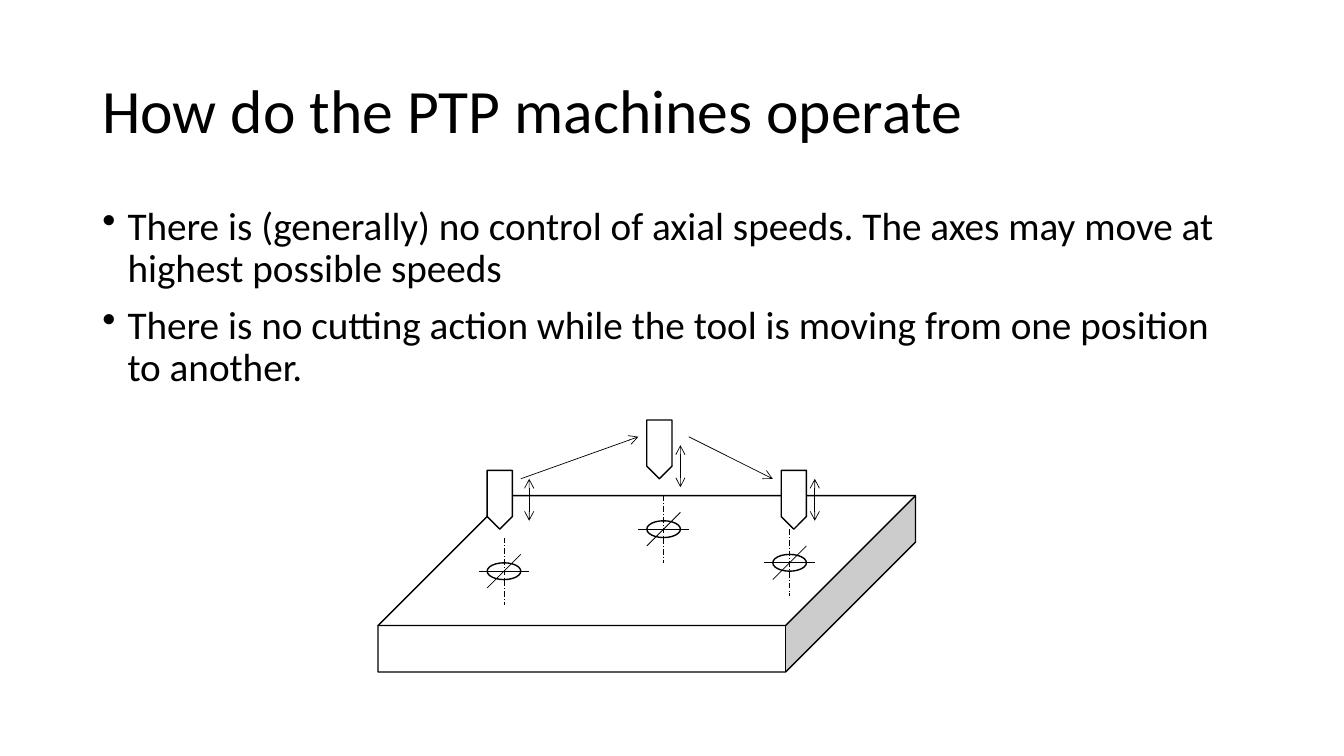
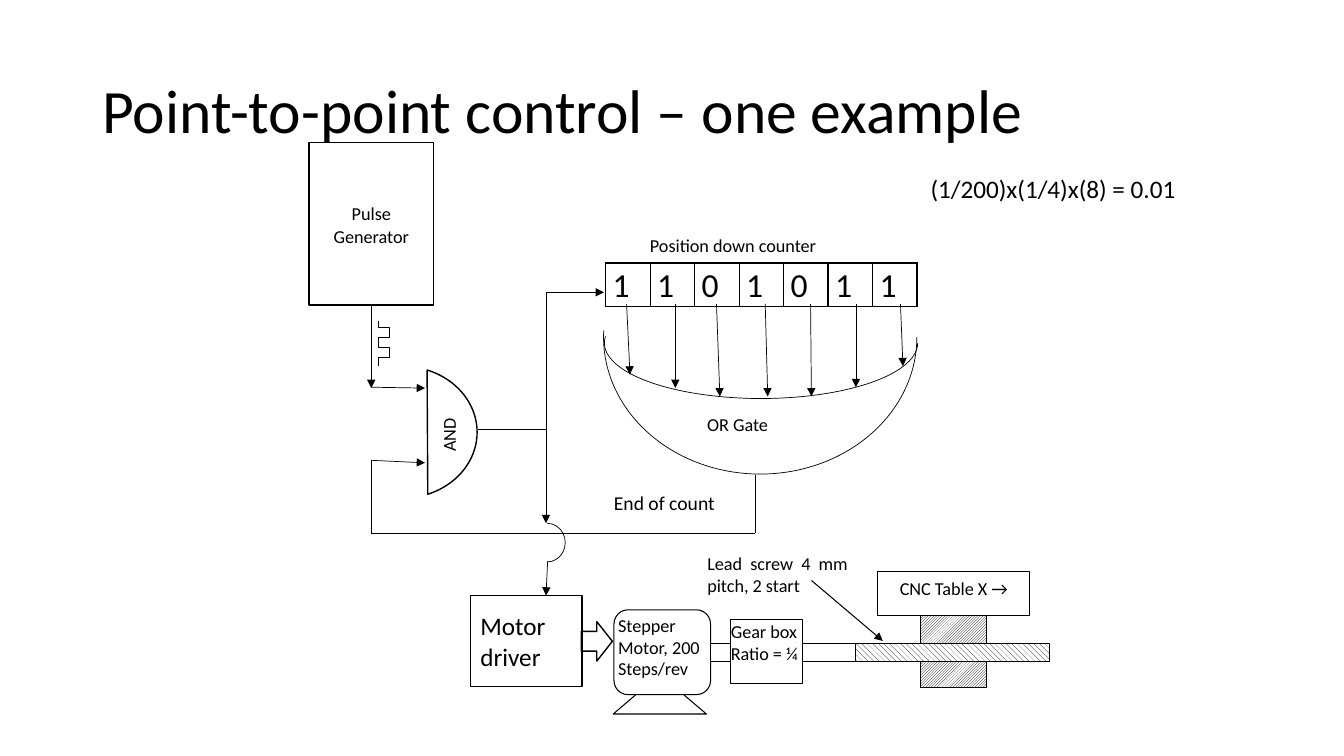
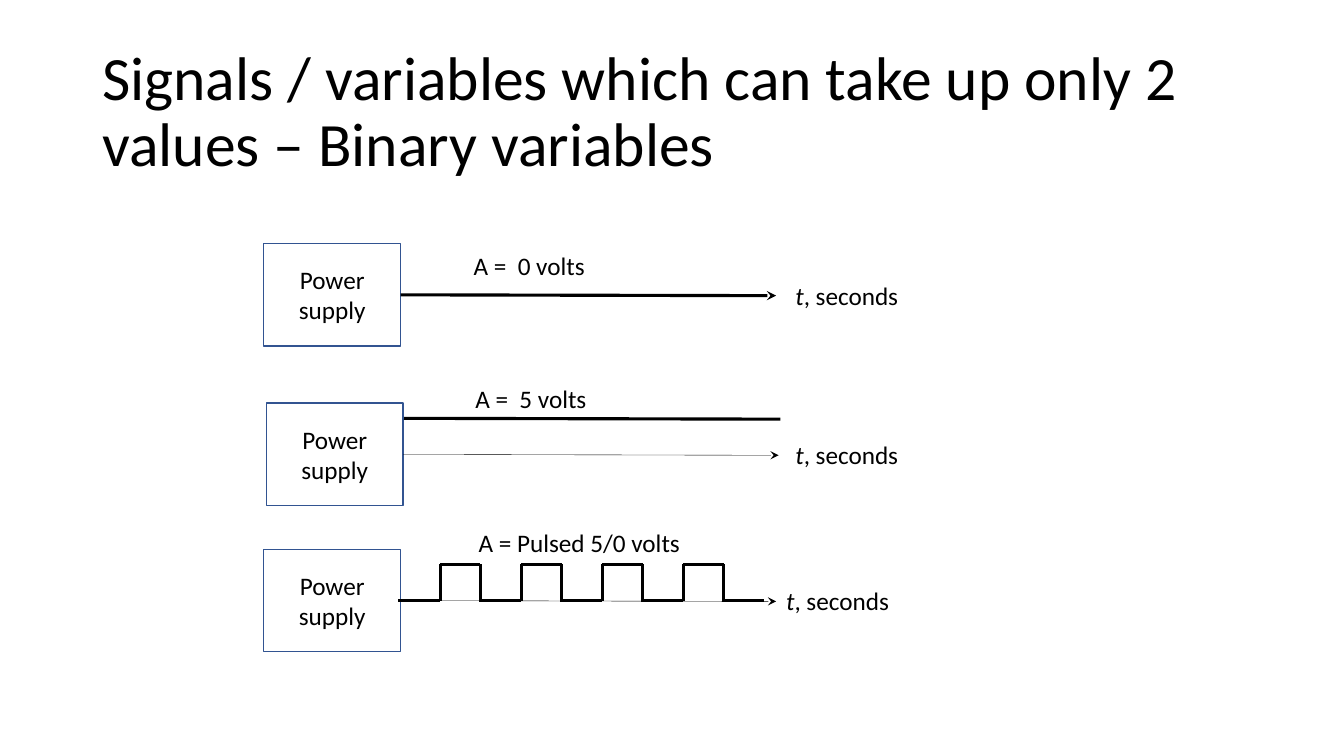
"""Build three slides on point-to-point machine control and binary signals."""
from lxml import etree
from pptx import Presentation
from pptx import util as u
from pptx.dml.color import RGBColor
from pptx.enum import dml, shapes, text
from pptx.oxml import ns

BLACK = RGBColor(0x00, 0x00, 0x00)
WHITE = RGBColor(0xFF, 0xFF, 0xFF)
BLUE = RGBColor(0x32, 0x54, 0x91)
FONT = "Calibri"
COLUMNS, ROWS = 160, 90
KIND = shapes.MSO_SHAPE
ALIGN = text.PP_ALIGN
ANCHOR = text.MSO_ANCHOR
PATTERN = dml.MSO_PATTERN
LABEL = {"spacing": 1.07, "after": 8}
TIGHT = {"insets": (0, 0, 0, 0)}


class Deck:
    """Hold the shared style and the current slide, on a grid of 160 by 90 cells."""

    def __init__(self):
        self.presentation = Presentation()
        self.presentation.slide_width = u.Inches(13.333)
        self.presentation.slide_height = u.Inches(7.5)
        self.slide = None

    def new_slide(self):
        self.slide = self.presentation.slides.add_slide(self.presentation.slide_layouts[6])
        self.slide.background.fill.solid()
        self.slide.background.fill.fore_color.rgb = WHITE

    def x(self, columns):
        return round(self.presentation.slide_width * columns / COLUMNS)

    def y(self, rows):
        return round(self.presentation.slide_height * rows / ROWS)

    def box(self, left, top, width, height):
        return self.x(left), self.y(top), self.x(width), self.y(height)

    def set_text(self, frame, paragraphs, size, align=ALIGN.LEFT, anchor=ANCHOR.TOP,
                 spacing=None, before=0, after=0, insets=(0.1, 0.05, 0.1, 0.05), bullet=None):
        frame.word_wrap = True
        frame.vertical_anchor = anchor
        (frame.margin_left, frame.margin_top,
         frame.margin_right, frame.margin_bottom) = map(u.Inches, insets)
        for index, content in enumerate(paragraphs):
            paragraph = frame.add_paragraph() if index else frame.paragraphs[0]
            paragraph.alignment = align
            paragraph.line_spacing = spacing
            paragraph.space_before = u.Pt(before)
            paragraph.space_after = u.Pt(after)
            if bullet:
                properties = paragraph._p.get_or_add_pPr()
                properties.set("marL", str(u.Inches(0.25)))
                properties.set("indent", str(-u.Inches(0.25)))
                etree.SubElement(properties, ns.qn("a:buChar")).set("char", bullet)
            runs = [(content, False)] if isinstance(content, str) else content
            for words, italic in runs:
                run = paragraph.add_run()
                run.text = words
                run.font.name = FONT
                run.font.size = u.Pt(size)
                run.font.italic = italic
                run.font.color.rgb = BLACK

    def text(self, place, *paragraphs, size=18, rotation=0, **style):
        label = self.slide.shapes.add_textbox(*self.box(*place))
        label.rotation = rotation
        self.set_text(label.text_frame, paragraphs, size, **style)

    def title(self, words):
        self.text((11, 4.8, 138, 17.4), words, size=44, anchor=ANCHOR.MIDDLE, spacing=0.9)

    def paint(self, shape, fill, line, weight, pattern=None):
        shape.shadow.inherit = False
        if pattern is not None:
            shape.fill.patterned()
            shape.fill.pattern = pattern
            shape.fill.fore_color.rgb = BLACK
            shape.fill.back_color.rgb = WHITE
        elif fill is None:
            shape.fill.background()
        else:
            shape.fill.solid()
            shape.fill.fore_color.rgb = fill
        if line is None:
            shape.line.fill.background()
        else:
            shape.line.color.rgb = line
            shape.line.width = u.Pt(weight)

    def shape(self, kind, place, words=None, size=13, fill=WHITE, line=BLACK, weight=0.75,
              rotation=0, adjust=(), pattern=None, **style):
        shape = self.slide.shapes.add_shape(kind, *self.box(*place))
        shape.rotation = rotation
        for index, value in enumerate(adjust):
            shape.adjustments[index] = value
        self.paint(shape, fill, line, weight, pattern)
        if words:
            self.set_text(shape.text_frame, [words], size, **style)
        return shape

    def outline(self, points, closed=False, fill=None, weight=0.5):
        corners = [(self.x(across), self.y(down)) for across, down in points]
        builder = self.slide.shapes.build_freeform(*corners[0])
        builder.add_line_segments(corners[1:], close=closed)
        self.paint(builder.convert_to_shape(), fill, BLACK, weight)

    def line(self, start, end, weight=0.5, head=None, tail=None, dash=None, origin=None):
        connector = self.slide.shapes.add_connector(
            shapes.MSO_CONNECTOR.STRAIGHT,
            self.x(start[0]), self.y(start[1]), self.x(end[0]), self.y(end[1]))
        if origin:
            connector.begin_connect(*origin)
        connector.line.color.rgb = BLACK
        connector.line.width = u.Pt(weight)
        if dash is not None:
            connector.line.dash_style = dash
        for tag, arrow in (("a:headEnd", head), ("a:tailEnd", tail)):
            if arrow:
                etree.SubElement(connector.line._ln, ns.qn(tag)).set("type", arrow)
        etree.SubElement(connector._element.spPr, ns.qn("a:effectLst"))

    def table_row(self, place, values, size):
        table = self.slide.shapes.add_table(1, len(values), *self.box(*place)).table
        table.first_row = table.horz_banding = False
        for column, value in enumerate(values):
            cell = table.cell(0, column)
            cell.fill.background()
            self.set_text(cell.text_frame, [value], size, spacing=1.07)
            cell.margin_left = cell.margin_right = u.Inches(0.07)
            cell.margin_top = cell.margin_bottom = 0
            properties = cell._tc.get_or_add_tcPr()
            for position, side in enumerate("LRTB"):
                border = etree.Element(ns.qn("a:ln" + side), w=str(u.Pt(1)))
                ink = etree.SubElement(border, ns.qn("a:solidFill"))
                etree.SubElement(ink, ns.qn("a:srgbClr")).set("val", str(BLACK))
                properties.insert(position, border)


def drilling_slide(deck):
    """Show a drill that hops between three holes."""
    deck.new_slide()
    deck.title("How do the PTP machines operate")
    deck.text(
        (11, 24, 138, 57),
        "There is (generally) no control of axial speeds. The axes may move at highest possible speeds",
        "There is no cutting action while the tool is moving from one position to another.",
        size=28, spacing=0.9, before=10, bullet="•")
    deck.shape(KIND.CUBE, (45, 59, 64, 21), weight=1, adjust=[0.737])
    for across, down in ((79, 63), (60, 68), (94, 67)):
        deck.shape(KIND.OVAL, (across - 2, down - 1, 4, 2), weight=1)
        deck.line((across, down - 4), (across, down + 4), dash=dml.MSO_LINE.LONG_DASH_DOT)
        deck.line((across + 2, down - 2), (across - 2, down + 2))
        deck.line((across - 3, down), (across + 3, down))
    for left, top in ((75, 52), (91, 58), (56, 58)):
        deck.shape(KIND.PENTAGON, (left, top, 7, 3), weight=1, rotation=90)
    deck.line((62, 57), (76, 52), tail="arrow")
    deck.line((82, 52), (92, 57), tail="arrow")
    for across, top in ((63, 57), (81, 53), (97, 57)):
        deck.line((across, top), (across, top + 5), head="arrow", tail="arrow")


def control_slide(deck):
    """Draw the pulse, gate, counter and drive diagram."""
    deck.new_slide()
    deck.table_row((72.1, 31.3, 37.1, 5), "1101011", 24)
    deck.text((76.2, 27.1, 25.2, 5), "Position down counter", size=13, **LABEL)

    deck.shape(KIND.FLOWCHART_ALTERNATE_PROCESS, (73.1, 72.6, 11.5, 10.1),
               "Stepper Motor, 200 Steps/rev", **TIGHT)
    deck.outline([(73, 85), (75.7, 82.7), (81.4, 82.7), (84.1, 85)],
                 closed=True, fill=WHITE, weight=0.75)
    deck.shape(KIND.RECTANGLE, (84.6, 76.6, 37.1, 2.2))
    deck.shape(KIND.FLOWCHART_PROCESS, (87, 73.8, 8.5, 7.6), "Gear box Ratio = ¼", **TIGHT)
    deck.shape(KIND.RECTANGLE, (109.6, 73.3, 7.8, 8.5), pattern=PATTERN.LIGHT_UPWARD_DIAGONAL)
    deck.shape(KIND.RECTANGLE, (101.9, 76.6, 23, 2.2), pattern=PATTERN.WIDE_DOWNWARD_DIAGONAL)
    deck.shape(KIND.FLOWCHART_PROCESS, (104.5, 68, 18.1, 5.3), "CNC Table X →",
               align=ALIGN.CENTER, **LABEL)
    deck.shape(KIND.RECTANGLE, (84.2, 65.8, 16.7, 6.1), "Lead screw 4 mm pitch, 2 start",
               line=None, align=ALIGN.JUSTIFY, **TIGHT)
    deck.line((96.6, 69.1), (105.1, 76.3), weight=0.75, tail="triangle")
    deck.shape(KIND.RIGHT_ARROW, (69.2, 74, 3.7, 4.7), weight=1)
    deck.shape(KIND.RECTANGLE, (56, 70.9, 13.3, 10.8), "Motor driver", size=18,
               fill=None, weight=1, anchor=ANCHOR.MIDDLE)

    deck.shape(KIND.CHORD, (39, 43.6, 17.8, 15.7), weight=1, rotation=180,
               adjust=[67.012, 148.619])
    deck.text((49.4, 49.8, 8, 4), "AND", size=13, rotation=270,
              align=ALIGN.CENTER, anchor=ANCHOR.MIDDLE, **TIGHT)
    generator = deck.shape(KIND.RECTANGLE, (36.8, 17, 14.8, 19.3), "Pulse Generator", weight=1,
                           align=ALIGN.CENTER, anchor=ANCHOR.MIDDLE, **LABEL)
    deck.line((44.2, 36.3), (44.2, 46.2), tail="triangle", origin=(generator, 2))

    for place in ((74.2, 21.5, 32.6, 37.3), (84, 22.2, 13.2, 37.3)):
        deck.shape(KIND.ARC, place, fill=None, weight=0.5, rotation=90, adjust=[162, 55.485])
    deck.shape(KIND.ARC, (63, 62.3, 4.3, 4.6), fill=None, weight=0.5, adjust=[162, 54])

    bit_arrows = ((74.6, 75, 44.6), (80.4, 80.4, 46.2), (85.3, 85.7, 47.2), (91.1, 91.4, 47.2),
                  (96.5, 96.6, 47.2), (101.9, 101.9, 46.1), (107.2, 107.5, 43.6))
    for start, end, bottom in bit_arrows:
        deck.line((start, 36.2), (end, bottom), tail="triangle")
    for start, end in (((65.2, 66.8), (65, 70.9)), ((65, 34.8), (71.9, 34.8)),
                       ((44.2, 46.1), (50.6, 46.2)), ((44.2, 54.8), (50.6, 55.1)),
                       ((65, 51.1), (65, 62.3))):
        deck.line(start, end, tail="triangle")
    for start, end in (((44.2, 54.8), (44.2, 63.5)), ((44.2, 63.5), (89.9, 63.5)),
                       ((89.9, 63.5), (89.9, 56.5)), ((56.9, 51.1), (65, 51.1)),
                       ((65, 51.1), (65, 34.8))):
        deck.line(start, end)

    wave = [(45, 38.2)]
    for step in range(4):
        level = 39 + 1.2 * step
        sides = (45, 46.3) if step % 2 == 0 else (46.3, 45)
        wave += [(side, level) for side in sides]
    deck.outline(wave + [(45, 43.6)])

    deck.shape(KIND.RECTANGLE, (71.9, 57.6, 16, 4.9), "End of count", size=14, line=None, **LABEL)
    deck.shape(KIND.RECTANGLE, (83, 48.4, 16, 4.9), "OR Gate", line=None, **LABEL)
    deck.title("Point-to-point control – one example")
    deck.text((109.6, 20, 42.2, 4.8), "(1/200)x(1/4)x(8) = 0.01")


def signal_slide(deck):
    """Compare constant and pulsed voltages over time."""
    deck.new_slide()
    deck.title("Signals / variables which can take up only 2 values – Binary variables")
    supplies = (
        (31.4, 29, 2.25, "A =  0 volts", (55.2, 29.2), (93.5, 32.8)),
        (31.7, 48, 0.25, "A =  5 volts", (55.4, 45.1), (93.5, 51.7)),
        (31.4, 65.4, 0.25, "A = Pulsed 5/0 volts", (55.8, 62.2), (92.4, 69.1)),
    )
    for left, top, weight, words, label, unit in supplies:
        supply = deck.shape(KIND.RECTANGLE, (left, top, 16.3, 12.2), "Power supply", size=18,
                            line=BLUE, weight=1, align=ALIGN.CENTER, anchor=ANCHOR.MIDDLE)
        deck.line((left + 16.3, top + 6.1), (left + 61, top + 6.2), weight=weight,
                  tail="stealth", origin=(supply, 3))
        deck.text((*label, 29.9, 4.8), words)
        deck.text((*unit, 15.2, 4.8), [("t", True), (", seconds", False)])
    deck.line((48.1, 49.8), (92.9, 49.9), weight=2.25)

    low, high, first, period = 71.5, 67.2, 47.4, 9.65
    for pulse in range(4):
        start = first + pulse * period
        rise, fall = start + 5, start + 9.8
        for begin, end in (((start, low), (rise, low)), ((rise, low), (rise, high)),
                           ((rise, high), (fall, high)), ((fall, low), (fall, high))):
            deck.line(begin, end, weight=2.25)
    deck.line((first + 4 * period, low), (91, low), weight=2.25)


def main():
    """Build and save the presentation."""
    deck = Deck()
    drilling_slide(deck)
    control_slide(deck)
    signal_slide(deck)
    deck.presentation.save("out.pptx")


if __name__ == "__main__":
    main()
